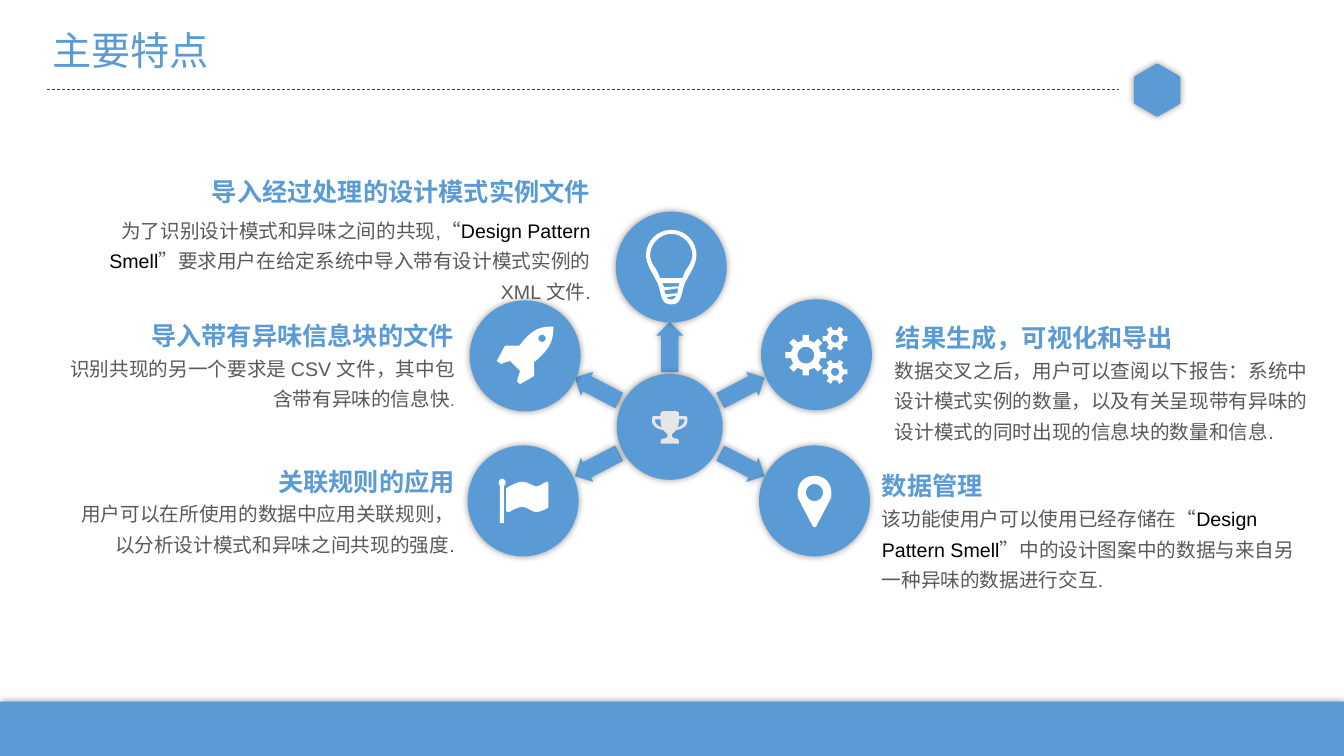
import math
from lxml import etree
from pptx import Presentation, util as u
from pptx.dml.color import RGBColor
from pptx.enum import dml, shapes, text
from pptx.oxml import ns

BLUE = RGBColor(0x5B, 0x9B, 0xD5)
GRAY = RGBColor(0x59, 0x59, 0x59)
SILVER = RGBColor(0xE7, 0xE6, 0xE6)
WHITE = RGBColor(0xFF, 0xFF, 0xFF)
BLACK = RGBColor(0, 0, 0)
SLATE = RGBColor(0x41, 0x44, 0x55)
CJK, LATIN = "Noto Sans CJK SC", "Arial"
LEFT, RIGHT = text.PP_ALIGN.LEFT, text.PP_ALIGN.RIGHT

# Content: heading box, body box (left, top, width, height), alignment,
# first-line indent, heading, body runs (text, size, colour)
TITLE = "主要特点"
TOOL = ("Design Pattern Smell", 14, BLACK)
FEATURES = [
    ((139.7, 115.9, 288.7, 35.3), (58.3, 147.6, 370.8, 73.4), RIGHT, 19.5,
     "导入经过处理的设计模式实例文件",
     [("为了识别设计模式和异味之间的共现,“", 14, GRAY), TOOL,
      ("”要求用户在给定系统中导入带有设计模式实例的 XML 文件.", 14, GRAY)]),
    ((97.2, 218.9, 234, 35.3), (37.4, 246.2, 294.5, 51.1), RIGHT, 0,
     "导入带有异味信息块的文件",
     [("识别共现的另一个要求是 CSV 文件，其中包含带有异味的信息快", 14, GRAY),
      (".", 12, GRAY)]),
    ((190.8, 323.3, 141.1, 35.3), (37.4, 349.9, 294.5, 51.1), RIGHT, 0,
     "关联规则的应用",
     [("用户可以在所使用的数据中应用关联规则，以分析设计模式和异味之间共现的强度.",
       14, GRAY)]),
    ((632.9, 220.3, 213.8, 35.3), (632.2, 247.7, 312.5, 73.4), LEFT, 0,
     "结果生成，可视化和导出",
     [("数据交叉之后，用户可以查阅以下报告：系统中设计模式实例的数量，"
       "以及有关呈现带有异味的设计模式的同时出现的信息块的数量和信息.", 14, GRAY)]),
    ((622.8, 326.2, 87.1, 35.3), (622.8, 353.5, 312.5, 73.4), LEFT, 0,
     "数据管理",
     [("该功能使用户可以使用已经存储在“", 14, GRAY), TOOL,
      ("”中的设计图案中的数据与来自另一种异味的数据进行交互.", 14, GRAY)]),
]

# Icon outlines around the circle centre: two numbers are a corner,
# six a Bezier curve; a symmetric outline lists its right half only
HANDLE = [(6.6, -5.4), (10.4, -5.4), (10.4, -4), (10.4, -2.5, 8.5, -.5, 5.5, .4),
          (6.3, -1, 6.6, -3, 6.6, -5.4)]
TROPHY = [
    ("symmetric", [(0, -11.2), (4, -11.2), (5.5, -11.2, 6.6, -10.5, 6.6, -9),
                   (6.6, -7.6), (11.2, -7.6), (12.2, -7.6, 12.6, -7, 12.6, -6),
                   (12.6, -4), (12.6, -1, 9, 2, 4.5, 2.2), (4, 3, 3, 4, 3, 4),
                   (2, 4.5, 1.5, 5.5, 1.5, 6), (1.5, 7, 2.5, 8.3, 4, 8.3),
                   (5.5, 8.3, 6.5, 9, 6.5, 10.5), (6.5, 11.9), (0, 11.9)]),
    ("outline", HANDLE), ("flipped", HANDLE)]
BULB = [
    ("symmetric", [(0, -26.6), (10, -26.6, 18, -18.5, 18, -8.6),
                   (18, -1.4, 12.2, 5.8, 9.4, 12.2), (6.5, 21.6, 7.2, 26.6, 0, 26.6)]),
    ("symmetric", [(0, -23.8), (8, -23.8, 15.1, -16.5, 15.1, -8.6),
                   (15.1, -5, 13, -1.4, 10, 2.9), (9.4, 4.3, 8.6, 6.5, 7.9, 7.9),
                   (0, 7.9)]),
    ("outline", [(-6.5, 11.5), (5.8, 11.5), (5.4, 13.7), (-5, 14.4)]),
    ("outline", [(-5, 16.6), (5, 15.1), (4.3, 18.7), (-4.3, 19.4)]),
    ("outline", [(-3.6, 21.6), (3.6, 20.2), (2.2, 23, 1.5, 23, 0, 23),
                 (-1.5, 23, -2.5, 23, -3.6, 21.6)])]
ROCKET = [
    ("outline", [(11.5, 0), (10, 1.4, 8.6, 2.9, 6.5, 4.3), (6.5, 14.4), (-3.6, 20.2),
                 (-5.8, 18), (-3.6, 10.8), (-10.8, 3.6), (-17.3, 5.8), (-20.2, 3.6),
                 (-14.4, -7.2), (-4.3, -7.2), (-2.9, -8.6, -1.4, -10.8, 0, -12.2),
                 (5.8, -18.7, 10.8, -20.9, 19.4, -20.9),
                 (20.2, -20.9, 20.2, -20.5, 20.2, -20.2),
                 (20.2, -11.5, 18, -6.5, 11.5, 0)]),
    ("circle", (12.1, -12.5, 2.6))]
FLAG = [
    ("outline", [(-16.6, 15.8), (-16.6, -10.8), (-18, -12, -17.6, -15.8, -14.9, -15.8),
                 (-12, -15.8, -12, -11.5, -13.7, -10.8), (-13.7, 15.8)]),
    ("outline", [(18, 4.3), (17.8, 5, 17.3, 5, 16.6, 5.6), (13.7, 6.8, 12, 7.9, 9.4, 7.9),
                 (5.8, 7.9, 3.6, 4.3, -.7, 4.3), (-3.6, 4.3, -7.2, 6.5, -10, 7.9),
                 (-11, 8.3, -12.2, 7.6, -12.2, 6.5), (-12.2, -8.6),
                 (-11.5, -10, -4, -13.7, -.7, -13.7), (2.2, -13.7, 4.3, -12.2, 7.9, -10.8),
                 (11, -9, 15, -13.7, 17.3, -13.7), (18, -13.7, 18, -12, 18, -11.5)])]
PIN = [
    ("symmetric", [(0, -18), (7, -18, 12, -13, 12, -6), (12, -4.5, 12, -3, 11.5, -1.5),
                   (2, 16.6), (1.5, 18, 1, 18.7, 0, 18.7)]),
    ("circle", (0, -6, 6.1))]
GEARS = [("gear", (-7.6, .3, 14.7, 10.8, 8)), ("circle", (-7.6, .3, 6))]
for gear_y in (-11.5, 12.2):
    GEARS += [("gear", (13.3, gear_y, 9, 6.3, 6)), ("circle", (13.3, gear_y, 2.9))]

# Circles: centre, diameter, icon, icon colour; arrows: direction, distance from hub
HUB = (478.4, 304.9)
CIRCLES = [(HUB, 75.6, TROPHY, SILVER), ((479.5, 190.8), 79.2, BULB, WHITE),
           ((375.1, 254.2), 79.2, ROCKET, WHITE), ((373.7, 357.8), 79.2, FLAG, WHITE),
           ((583.2, 253.4), 79.2, GEARS, WHITE), ((581.8, 357.8), 79.2, PIN, WHITE)]
ARROWS = [(-90, 57), (-27.5, 58.5), (27.5, 58.5), (152.5, 58.5), (207.5, 58.5)]
ARROW_W, ARROW_H = 19.4, 35.6


def points_on_circle(x, y, radius, count, start=0):
    angles = [math.radians(start + 360 * i / count) for i in range(count)]
    return [(x + radius * math.cos(a), y + radius * math.sin(a)) for a in angles]


def flatten(outline):
    points = [outline[0]]
    for item in outline[1:]:
        if len(item) == 2:
            points.append(item)
            continue
        knots = [points[-1], item[:2], item[2:4], item[4:]]
        for t in (i / 8 for i in range(1, 9)):
            weights = ((1 - t) ** 3, 3 * t * (1 - t) ** 2, 3 * t * t * (1 - t), t ** 3)
            points.append(tuple(sum(w * k[axis] for w, k in zip(weights, knots))
                                for axis in (0, 1)))
    return points


def contour(kind, data):
    if kind == "circle":
        return points_on_circle(*data, 32)
    if kind == "gear":
        x, y, outer, inner, teeth = data
        step = 360 / teeth
        rings = [points_on_circle(x, y, radius, teeth, step * shift) for radius, shift in
                 ((inner, -.26), (outer, -.19), (outer, .19), (inner, .26))]
        return [point for tooth in zip(*rings) for point in tooth]
    points = flatten(data)
    mirrored = [(-x, y) for x, y in points]
    if kind == "flipped":
        return mirrored
    return points + mirrored[::-1] if kind == "symmetric" else points


def paint(shape, color, shadow=True):
    shape.fill.solid()
    shape.fill.fore_color.rgb = color
    shape.line.fill.background()
    shape.shadow.inherit = False
    if shadow:
        effects = shape._element.spPr.find(ns.qn("a:effectLst"))
        outer = etree.SubElement(effects, ns.qn("a:outerShdw"),
                                 blurRad=str(u.Pt(5)), dist="0", dir="0")
        tint = etree.SubElement(outer, ns.qn("a:srgbClr"), val="000000")
        etree.SubElement(tint, ns.qn("a:alpha"), val="40000")
    return shape


def add_preset(kind, x, y, width, height):
    return paint(slide.shapes.add_shape(kind, u.Pt(x), u.Pt(y), u.Pt(width), u.Pt(height)),
                 BLUE)


def add_outline(center, contours, color, shadow=False):
    builder = None
    for points in contours:
        places = [(u.Pt(center[0] + x), u.Pt(center[1] + y)) for x, y in points]
        if builder is None:
            builder = slide.shapes.build_freeform(*places[0])
        else:
            builder.move_to(*places[0])
        builder.add_line_segments(places[1:], close=True)
    paint(builder.convert_to_shape(), color, shadow)


def add_run(paragraph, words, size, color, font=LATIN, bold=False):
    run = paragraph.add_run()
    run.text = words
    run.font.size, run.font.bold, run.font.name = u.Pt(size), bold, font
    run.font.color.rgb = color
    latin = run._r.rPr.find(ns.qn("a:latin"))
    east_asian = etree.Element(ns.qn("a:ea"), typeface=CJK)
    latin.addnext(east_asian)


def add_text(box, align, wrap, runs, indent=0):
    frame = slide.shapes.add_textbox(*map(u.Pt, box)).text_frame
    frame.word_wrap = wrap
    frame.auto_size = text.MSO_AUTO_SIZE.SHAPE_TO_FIT_TEXT
    paragraph = frame.paragraphs[0]
    paragraph.alignment, paragraph.line_spacing = align, 1.3
    if indent:
        paragraph._p.get_or_add_pPr().set("indent", str(u.Pt(indent)))
    for run in runs:
        add_run(paragraph, *run)


presentation = Presentation()
presentation.slide_width, presentation.slide_height = u.Pt(960), u.Pt(540)
slide = presentation.slides.add_slide(presentation.slide_layouts[5])

# Title, dashed rule and rounded hexagon
title = slide.shapes.title
title.left, title.top, title.width, title.height = map(u.Pt, (30.2, 18.7, 828, 46.1))
title.text_frame.vertical_anchor = text.MSO_ANCHOR.TOP
title.text_frame.auto_size = text.MSO_AUTO_SIZE.NONE
heading = title.text_frame.paragraphs[0]
heading.alignment, heading.line_spacing, heading.space_before = LEFT, .9, u.Pt(10)
add_run(heading, TITLE, 28, BLUE, CJK)

rule = slide.shapes.add_connector(shapes.MSO_CONNECTOR.STRAIGHT,
                                  *map(u.Pt, (33.8, 64.1, 799.2, 64.1)))
rule.line.color.rgb, rule.line.width = SLATE, u.Pt(.5)
rule.line.dash_style = dml.MSO_LINE.DASH
etree.SubElement(rule._element.spPr, ns.qn("a:effectLst"))

corners = points_on_circle(0, 0, 19.2, 6, 30)
rounded = []
for i, (x, y) in enumerate(corners):
    before, after = [(x + (nx - x) * .12, y + (ny - y) * .12)
                     for nx, ny in (corners[i - 1], corners[(i + 1) % 6])]
    rounded += [before, (x, y, x, y, *after)]
add_outline((826.6, 64.4), [flatten(rounded)], BLUE, shadow=True)

# Arrows from the hub
for angle, distance in ARROWS:
    x = HUB[0] + distance * math.cos(math.radians(angle))
    y = HUB[1] + distance * math.sin(math.radians(angle))
    arrow = add_preset(shapes.MSO_SHAPE.DOWN_ARROW, x - ARROW_W / 2, y - ARROW_H / 2,
                       ARROW_W, ARROW_H)
    arrow.adjustments[0], arrow.adjustments[1] = .635, .5
    arrow.rotation = (angle - 90) % 360

# Circles with icons
for (x, y), size, icon, color in CIRCLES:
    add_preset(shapes.MSO_SHAPE.OVAL, x - size / 2, y - size / 2, size, size)
    add_outline((x, y), [contour(*part) for part in icon], color)

# Feature texts
for heading_box, body_box, align, indent, name, runs in FEATURES:
    add_text(heading_box, align, False, [(name, 18, BLUE, CJK, True)])
    add_text(body_box, align, True, runs, indent)

# Footer band
add_preset(shapes.MSO_SHAPE.RECTANGLE, 0, 501.1, 960, 38.9)

presentation.save("out.pptx")
